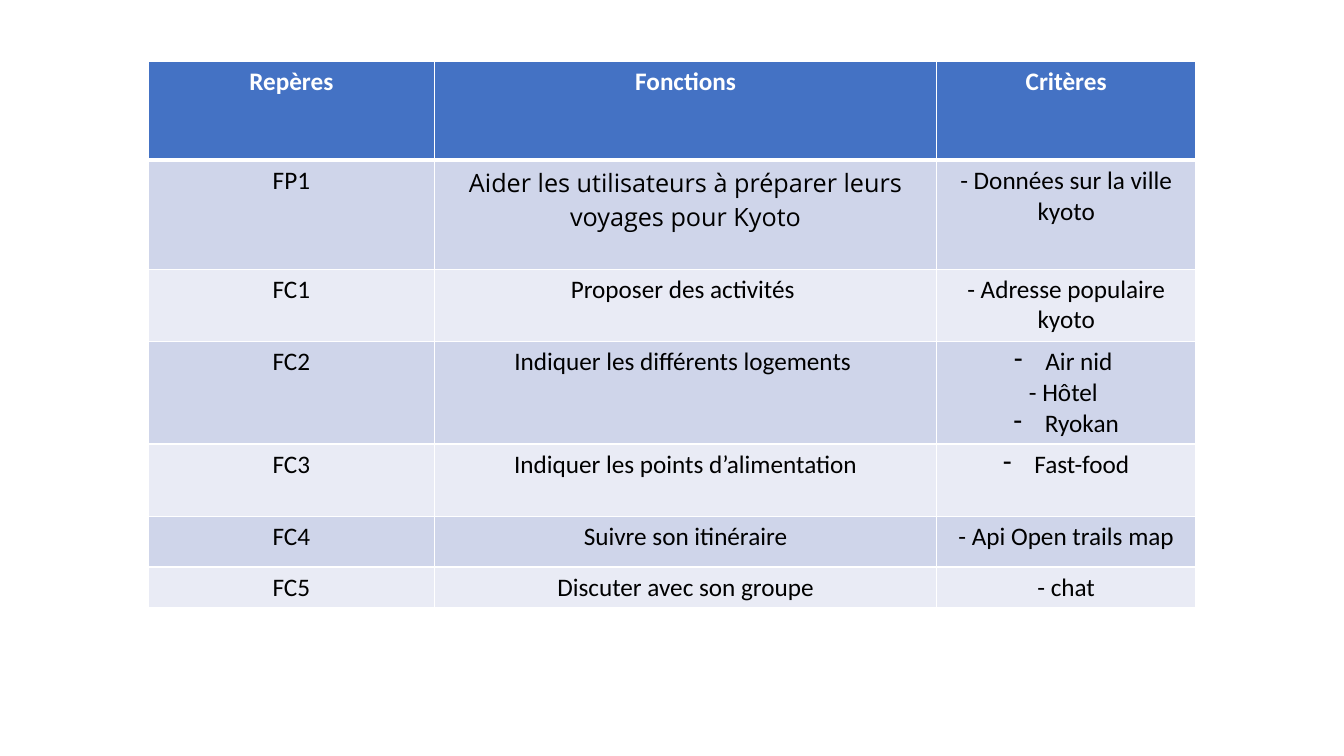
from lxml import etree
from pptx import Presentation
from pptx import util as u
from pptx.dml.color import RGBColor
from pptx.enum import text
from pptx.oxml import ns

WHITE, BLACK, BLUE = "FFFFFF", "000000", "4472C4"
BANDS = ["CFD5EA", "E9EBF5"]
BULLET = "• "  # marks a line that gets a hanging dash

HEAD = ["Repères", "Fonctions", "Critères"]
ROWS = [
    ("FP1", "Aider les utilisateurs à préparer leurs voyages pour Kyoto",
     ["- Données sur la ville kyoto"]),
    ("FC1", "Proposer des activités ", ["- Adresse populaire kyoto"]),
    ("FC2", "Indiquer les différents logements ",
     [BULLET + "Air nid ", "- Hôtel ", BULLET + "Ryokan"]),
    ("FC3", "Indiquer les points d’alimentation", [BULLET + "Fast-food"]),
    ("FC4", "Suivre son itinéraire", ["- Api Open trails map"]),
    ("FC5", "Discuter avec son groupe", ["- chat"]),
]
WIDTHS = [2.84, 4.98, 2.57]
HEIGHTS = [0.98, 1.08, 0.72, 1.01, 0.72, 0.5, 0.4]


def color(code):
    return RGBColor.from_string(code)


def sub(node, tag, **attrs):
    return etree.SubElement(node, ns.qn(tag), **attrs)


def dash(par):
    """Give a paragraph a hanging dash bullet."""
    props = par._p.get_or_add_pPr()
    indent = int(u.Inches(0.31))
    props.set("marL", str(indent))
    props.set("indent", str(-indent))
    sub(props, "a:buFontTx")
    sub(props, "a:buChar", char="-")


def write(frame, lines, font="Calibri", size=18, ink=BLACK, bold=False):
    for i, line in enumerate(lines):
        par = frame.add_paragraph() if i else frame.paragraphs[0]
        par.alignment = text.PP_ALIGN.CENTER
        if line.startswith(BULLET):
            dash(par)
        run = par.add_run()
        run.text = line.removeprefix(BULLET)
        run.font.name, run.font.size = font, u.Pt(size)
        run.font.bold, run.font.color.rgb = bold, color(ink)


class Deck:
    def __init__(self):
        self.prs = Presentation()
        self.prs.slide_width = u.Inches(13.33)
        self.prs.slide_height = u.Inches(7.5)
        self.slide = self.prs.slides.add_slide(self.prs.slide_layouts[6])

    def table(self, left, top, widths, heights):
        frame = self.slide.shapes.add_table(
            len(heights), len(widths), u.Inches(left), u.Inches(top),
            u.Inches(sum(widths)), u.Inches(sum(heights)))
        grid = frame.table
        for col, width in zip(grid.columns, widths):
            col.width = u.Inches(width)
        for row, height in zip(grid.rows, heights):
            row.height = u.Inches(height)
        return grid

    def cell(self, cell, lines, fill, above=1, below=1, **style):
        # Borders come before the fill in the cell properties
        props = cell._tc.get_or_add_tcPr()
        for side, width in zip("LRTB", (1, 1, above, below)):
            line = sub(props, "a:ln" + side, w=str(int(u.Pt(width))))
            sub(sub(line, "a:solidFill"), "a:srgbClr", val=WHITE)
        cell.fill.solid()
        cell.fill.fore_color.rgb = color(fill)
        write(cell.text_frame, lines, **style)


def main():
    deck = Deck()
    grid = deck.table(1.47, 0.61, WIDTHS, HEIGHTS)

    # Header row
    for c, name in enumerate(HEAD):
        deck.cell(grid.cell(0, c), [name], BLUE, below=3, ink=WHITE, bold=True)

    # Banded rows; the main function stands out by its font
    for r, (mark, task, needs) in enumerate(ROWS):
        for c, lines in enumerate(([mark], [task], needs)):
            font = "Open Sans" if (r, c) == (0, 1) else "Calibri"
            deck.cell(grid.cell(r + 1, c), lines, BANDS[r % 2],
                      above=1 if r else 3, font=font)

    deck.prs.save("out.pptx")


if __name__ == "__main__":
    main()
